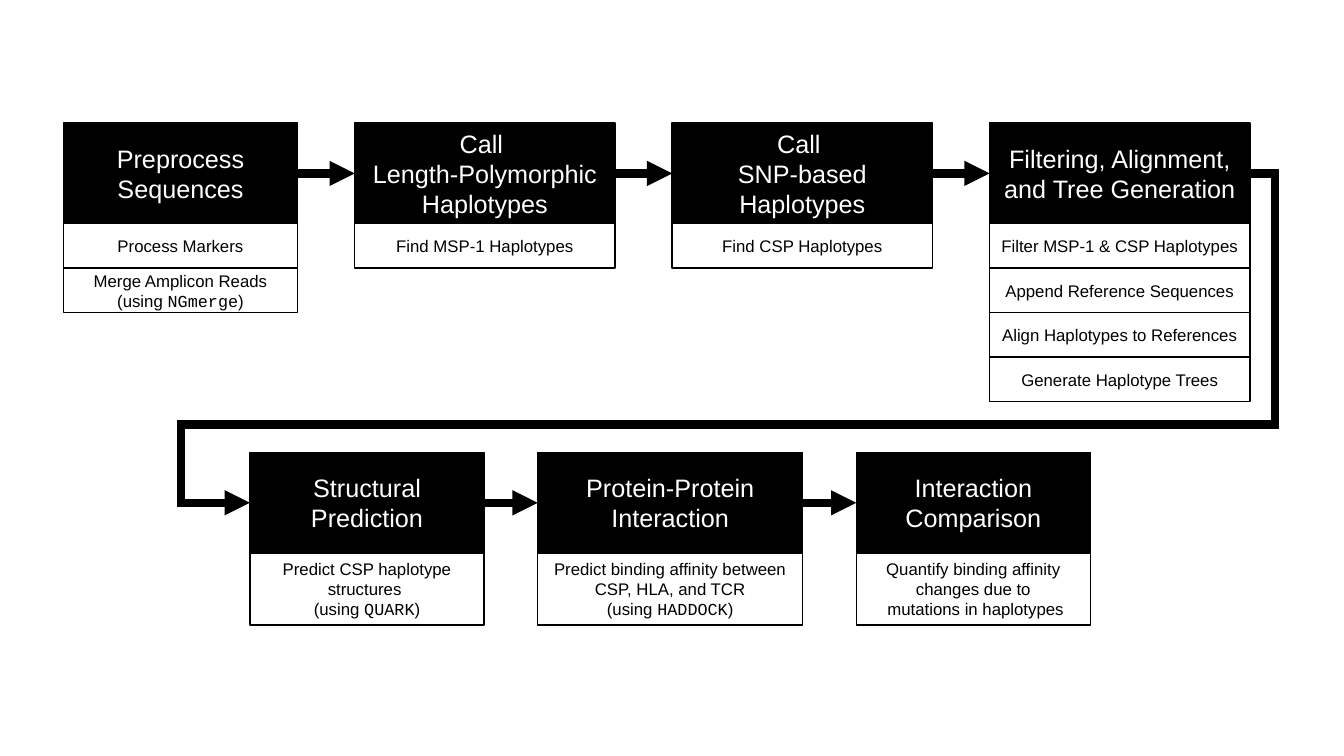
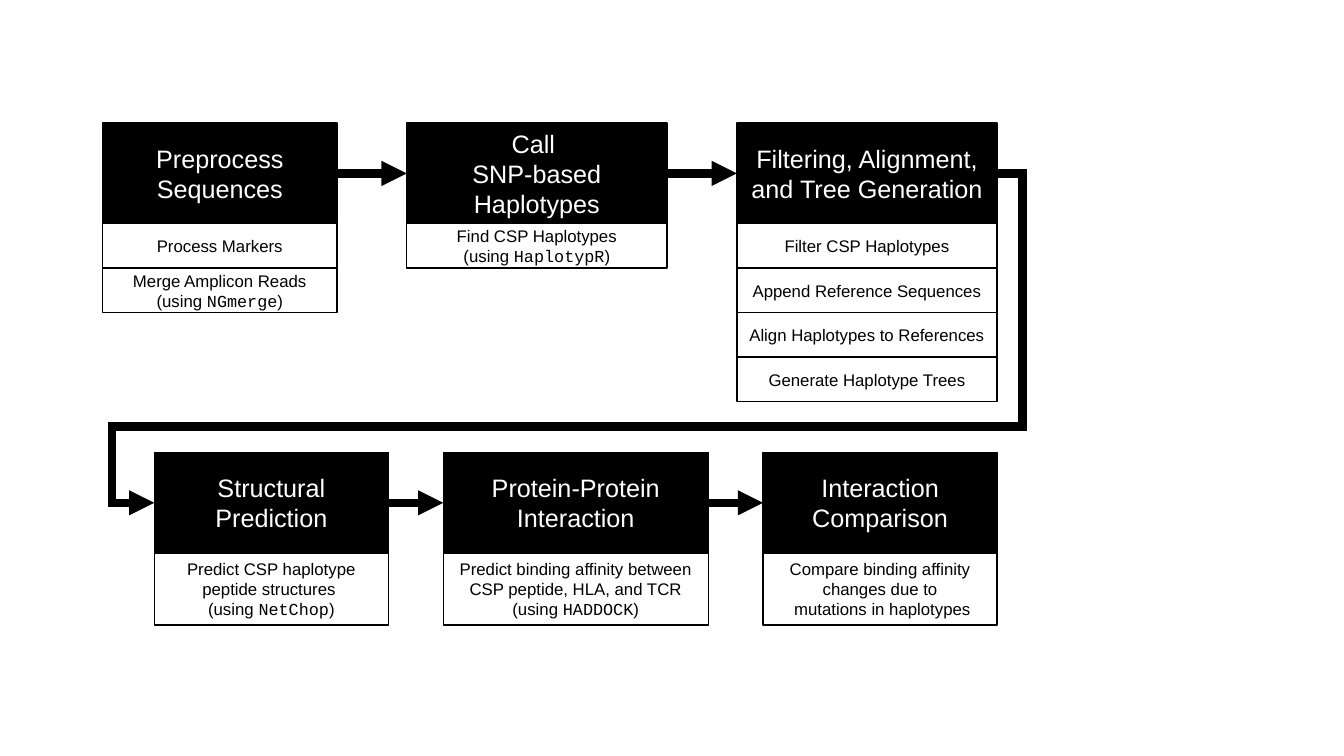
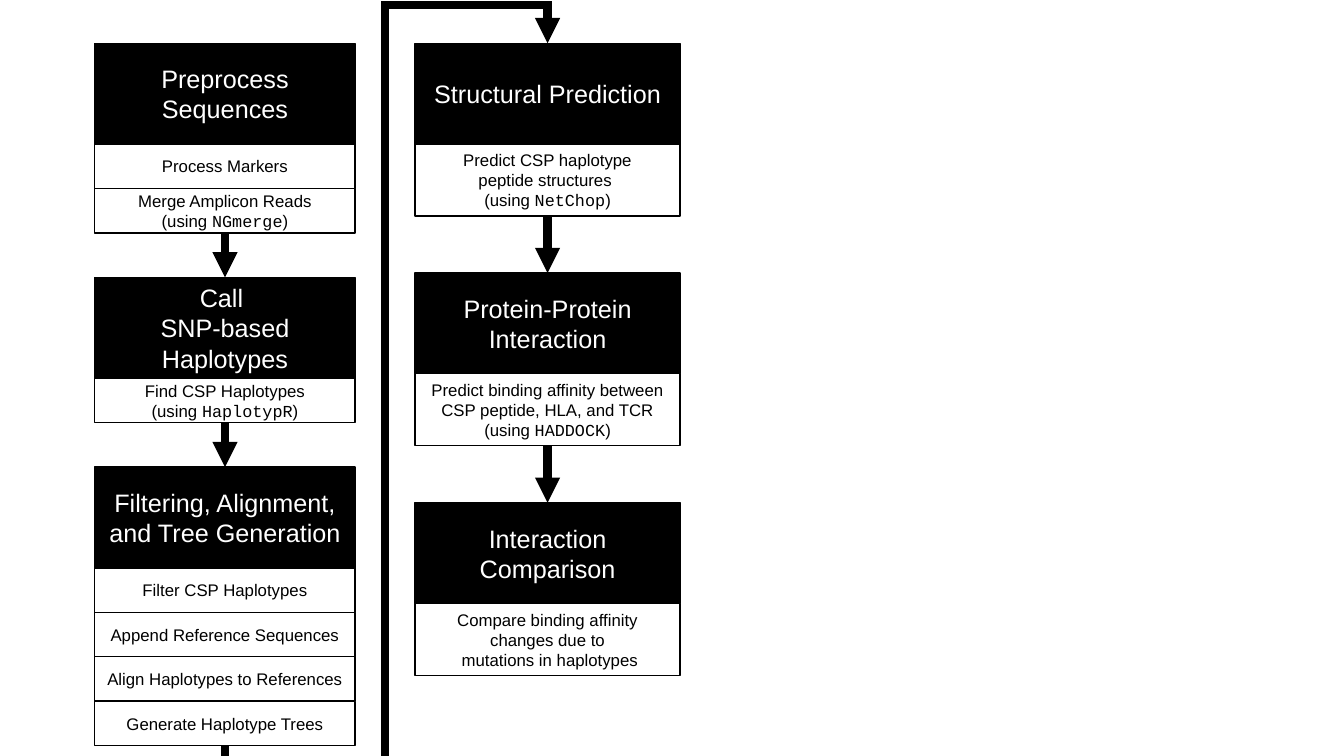
from dataclasses import dataclass

from lxml.etree import SubElement
from pptx import Presentation
from pptx.dml.color import RGBColor as RGB
from pptx.enum.shapes import MSO_CONNECTOR as LINK, MSO_SHAPE as SHAPE
from pptx.enum.text import MSO_ANCHOR as ANCHOR, PP_ALIGN as ALIGN
from pptx.oxml.ns import qn
from pptx.util import Cm, Pt


@dataclass(frozen=True)
class Theme:
    dark = RGB(0, 0, 0)
    light = RGB(255, 255, 255)
    font = "Arial"
    code = "Courier New"
    head_size = Pt(18)
    step_size = Pt(12)
    border = Pt(1)
    arrow = Pt(6)


theme = Theme()
HEAD, STEP, TALL = 2.54, 1.12, 1.81
NARROW, WIDE, BROAD = 5.9, 6.56, 6.68
TOP, LEFT, BOTTOM, RIGHT = range(4)


def add_box(shapes, x, y, w, h, text, fill, color, size):
    sp = shapes.add_shape(SHAPE.RECTANGLE, Cm(x), Cm(y), Cm(w), Cm(h))
    sp.shadow.inherit = False
    sp.fill.solid()
    sp.fill.fore_color.rgb = fill
    sp.line.color.rgb = theme.dark
    sp.line.width = theme.border
    tf = sp.text_frame
    tf.word_wrap = True
    tf.vertical_anchor = ANCHOR.MIDDLE
    for i, line in enumerate(text.split("\n")):
        p = tf.paragraphs[0] if i == 0 else tf.add_paragraph()
        p.alignment = ALIGN.CENTER
        for j, part in enumerate(line.split("`")):
            r = p.add_run()
            r.text = part
            style = {"name": theme.code if j % 2 else theme.font, "size": size}
            for key, value in style.items():
                setattr(r.font, key, value)
            r.font.color.rgb = color
    return sp


def add_arrow(shapes, source, source_side, target, target_side, bends=()):
    kind = LINK.ELBOW if bends else LINK.STRAIGHT
    link = shapes.add_connector(kind, 0, 0, 0, 0)
    link.begin_connect(source, source_side)
    link.end_connect(target, target_side)
    link.line.color.rgb = theme.dark
    link.line.width = theme.arrow
    pr = link._element.spPr
    ln = pr.find(qn("a:ln"))
    SubElement(ln, qn("a:miter"), lim="800000")
    SubElement(ln, qn("a:tailEnd"), type="triangle")
    SubElement(pr, qn("a:effectLst"))
    if bends:
        geom = pr.find(qn("a:prstGeom"))
        geom.set("prst", "bentConnector5")
        guides = geom.find(qn("a:avLst"))
        if guides is None:
            guides = SubElement(geom, qn("a:avLst"))
        for i, bend in enumerate(bends, 1):
            SubElement(guides, qn("a:gd"), name=f"adj{i}", fmla=f"val {bend}")
    if bends and source_side == BOTTOM:
        w, h = link.height, link.width
        frame = {"left": link.left + (h - w) // 2, "top": link.top + (w - h) // 2,
                 "width": w, "height": h}
        for key, value in frame.items():
            setattr(link, key, value)
        for key, value in {"rot": "5400000", "flipH": "1", "flipV": "1"}.items():
            pr.find(qn("a:xfrm")).set(key, value)


merge_steps = ["Process Markers", "Merge Amplicon Reads\n(using `NGmerge`)"]
tree_steps = ["Append Reference Sequences", "Align Haplotypes to References",
              "Generate Haplotype Trees"]
snp_head = "Call \nSNP-based Haplotypes"
tree_head = "Filtering, Alignment, and Tree Generation"
snp_steps = ["Find CSP Haplotypes\n(using `HaplotypR`)"]
csp_tree_steps = ["Filter CSP Haplotypes", *tree_steps]
affinity = "Predict binding affinity between\n{}, HLA, and TCR\n(using `HADDOCK`)"
changes = "{} binding affinity changes due to\n mutations in haplotypes"
lower_heads = ["Structural Prediction", "Protein-Protein Interaction",
               "Interaction Comparison"]
lower_widths = [NARROW, BROAD, NARROW]
peptide_steps = [affinity.format("CSP peptide"), changes.format("Compare")]

# DATA
flows = [
    {
        "across": True,
        "bends": (-2500, 76200, 106900),
        "lanes": [
            (1.6, 3.1, 1.44, STEP, [
                (NARROW, "Preprocess Sequences", merge_steps),
                (WIDE, "Call \nLength-Polymorphic Haplotypes", ["Find MSP-1 Haplotypes"]),
                (WIDE, snp_head, ["Find CSP Haplotypes"]),
                (WIDE, tree_head, ["Filter MSP-1 & CSP Haplotypes", *tree_steps]),
            ]),
            (6.3, 11.4, 1.35, TALL, [
                (w, head, [step]) for w, head, step in zip(lower_widths, lower_heads, [
                    "Predict CSP haplotype structures \n(using `QUARK`)",
                    affinity.format("CSP"), changes.format("Quantify")])
            ]),
        ],
    },
    {
        "across": True,
        "bends": (-3000, 76800, 105000),
        "lanes": [
            (2.59, 3.1, 1.76, STEP, [
                (NARROW, "Preprocess Sequences", merge_steps),
                (WIDE, snp_head, snp_steps),
                (WIDE, tree_head, csp_tree_steps),
            ]),
            (3.89, 11.4, 1.38, TALL, [
                (w, head, [step]) for w, head, step in zip(lower_widths, lower_heads, [
                    "Predict CSP haplotype peptide structures \n(using `NetChop`)",
                    *peptide_steps])
            ]),
        ],
    },
    {
        "across": False,
        "bends": (-3600, 49600, 105400),
        "lanes": [
            (2.39, 1.09, 1.12, STEP, [
                (WIDE, "Preprocess Sequences", merge_steps),
                (WIDE, snp_head, snp_steps),
                (WIDE, tree_head, csp_tree_steps),
            ]),
            (10.46, 1.09, 1.44, TALL, [
                (BROAD, head, [step]) for head, step in zip(lower_heads, [
                    "Predict CSP haplotype\npeptide structures \n(using `NetChop`)",
                    *peptide_steps])
            ]),
        ],
    },
]

prs = Presentation()
prs.slide_width, prs.slide_height = Cm(33.87), Cm(19.05)

for flow in flows:
    shapes = prs.slides.add_slide(prs.slide_layouts[6]).shapes
    out_side, in_side = (RIGHT, LEFT) if flow["across"] else (BOTTOM, TOP)
    previous = None
    for x, y, gap, step_height, cards in flow["lanes"]:
        for i, (w, title, steps) in enumerate(cards):
            head = add_box(shapes, x, y, w, HEAD, title,
                           theme.dark, theme.light, theme.head_size)
            for j, step in enumerate(steps):
                last = add_box(shapes, x, y + HEAD + j * step_height, w, step_height,
                               step, theme.light, theme.dark, theme.step_size)
            if previous is not None:
                add_arrow(shapes, previous, out_side, head, in_side,
                          flow["bends"] if i == 0 else ())
            if flow["across"]:
                previous = head
                x += w + gap
            else:
                previous = last
                y += HEAD + len(steps) * step_height + gap

prs.save("out.pptx")
